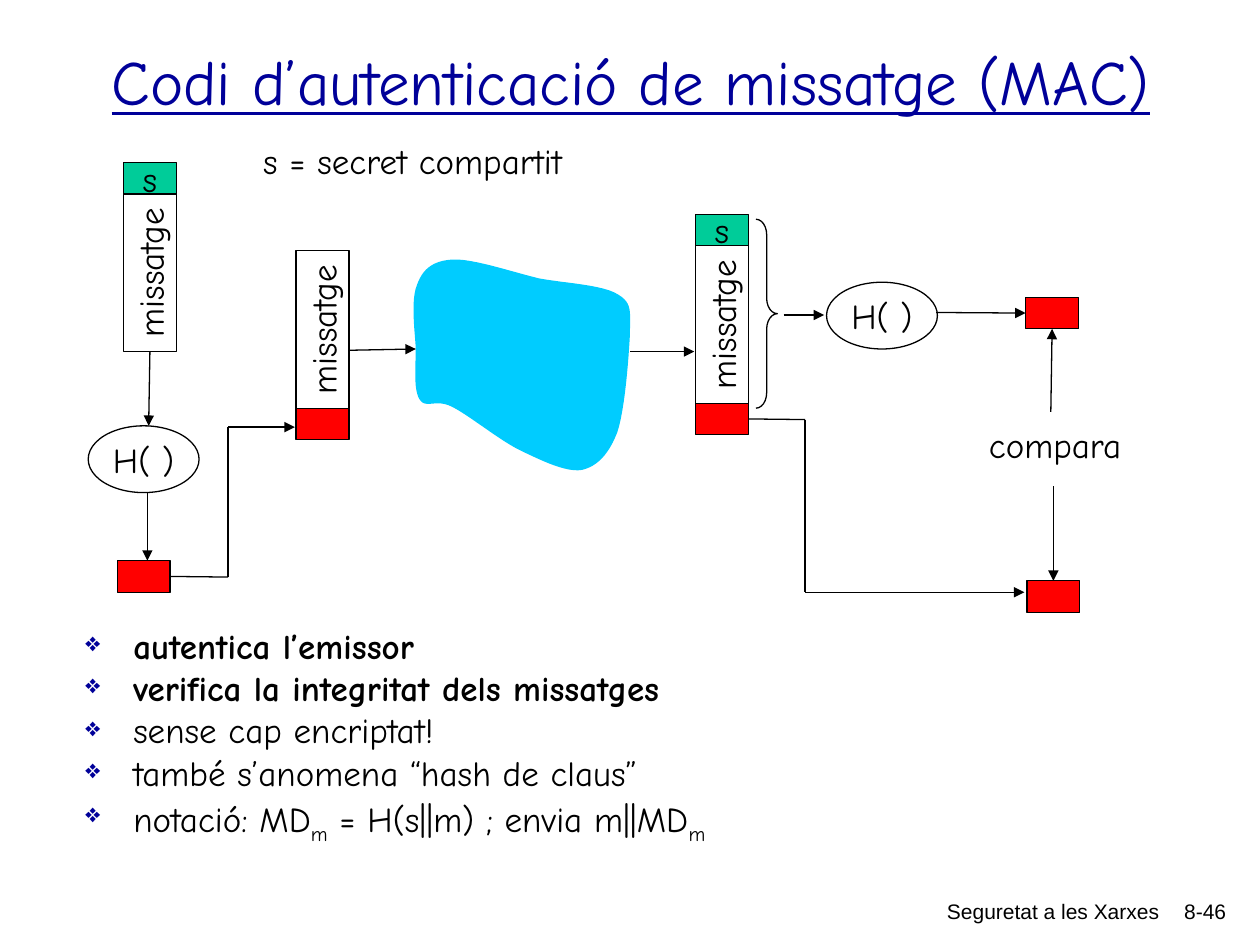
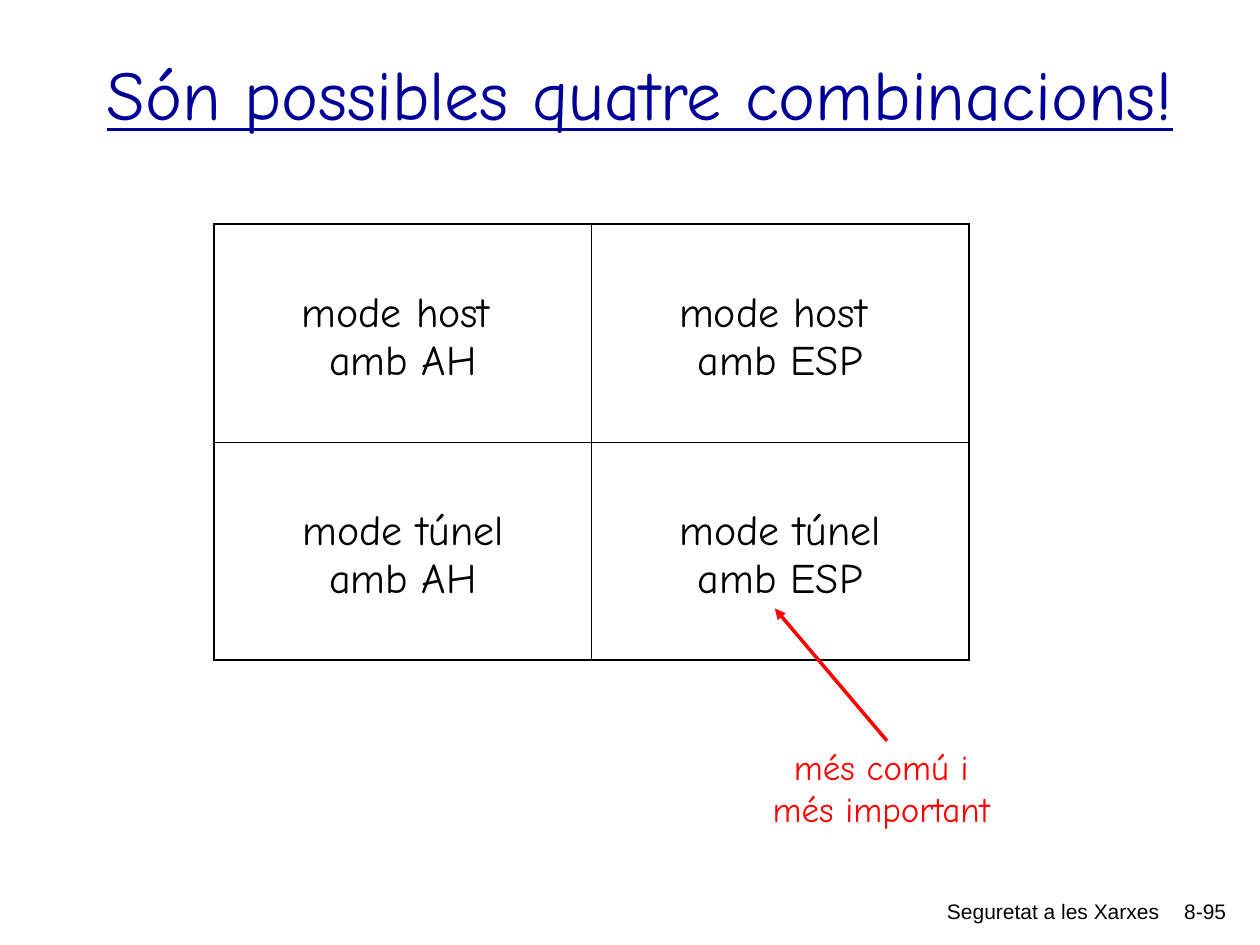
import itertools

import lxml.etree
import pptx
import pptx.dml.color
import pptx.enum.shapes
import pptx.enum.text
import pptx.oxml
import pptx.oxml.ns
import pptx.util

Inches, Pt = pptx.util.Inches, pptx.util.Pt
RGBColor = pptx.dml.color.RGBColor
Shapes = pptx.enum.shapes.MSO_SHAPE
Align = pptx.enum.text.PP_ALIGN
Anchor = pptx.enum.text.MSO_ANCHOR
qn = pptx.oxml.ns.qn

NAVY = RGBColor(0x00, 0x00, 0x99)
BLACK = RGBColor(0x00, 0x00, 0x00)
WHITE = RGBColor(0xFF, 0xFF, 0xFF)
RED = RGBColor(0xFF, 0x00, 0x00)
GREEN = RGBColor(0x00, 0xCC, 0x99)
CYAN = RGBColor(0x00, 0xCC, 0xFF)
BODY_FONT, FOOTER_FONT = "Comic Neue", "Arial"
FOOTER = "Seguretat a les Xarxes"

# Slide 1 content: places are in inches
MAC_TITLE = "Codi d’autenticació de missatge (MAC)"
BLOCK_WIDTH, BAND_HEIGHT, MESSAGE_HEIGHT = 0.42, 0.25, 1.25
HASH_SIZE = (0.88, 0.53)
SECRETS = [(0.98, 1.29), (5.52, 1.7)]
MESSAGES = {"source": (0.98, 1.54), "sent": (2.35, 1.99), "received": (5.52, 1.95)}
HASHES = [(0.7, 3.38), (6.56, 2.24)]
DIGESTS = {
    "computed": (0.93, 4.45),
    "sent": (2.35, 3.24),
    "received": (5.52, 3.2),
    "expected": (8.14, 2.36),
    "copied": (8.15, 4.61),
}
LABELS = [("s = secret compartit", (1.99, 1.06, 2.58, 0.44)),
          ("compara", (7.75, 3.31, 1.25, 0.44))]
# Corner points of each flow; only the last segment carries the arrowhead
FLOWS = {
    "source to hash": [(1.18, 2.79), (1.18, 3.38)],
    "hash to digest": [(1.17, 3.91), (1.17, 4.45)],
    "digest to sent": [(1.35, 4.58), (1.81, 4.58), (1.81, 3.39), (2.34, 3.39)],
    "sent to network": [(2.77, 2.78), (3.3, 2.77)],
    "network to received": [(5, 2.79), (5.51, 2.79)],
    "brace to hash": [(6.22, 2.5), (6.54, 2.5)],
    "hash to expected": [(7.43, 2.48), (8.14, 2.48)],
    "received to copied": [(5.94, 3.33), (6.39, 3.33), (6.39, 4.7), (8.13, 4.7)],
    "compare to expected": [(8.34, 3.27), (8.34, 2.61)],
    "compare to copied": [(8.36, 3.86), (8.36, 4.61)],
}
# Network cloud: start point, then (control, control, end) for each curve
CLOUD_START = (3.59, 2.06)
CLOUD_CURVES = [
    ((3.42, 2.07), (3.35, 2.15), (3.31, 2.26)),
    ((3.26, 2.38), (3.29, 2.61), (3.3, 2.76)),
    ((3.3, 2.91), (3.28, 3.09), (3.33, 3.17)),
    ((3.38, 3.25), (3.46, 3.16), (3.59, 3.23)),
    ((3.73, 3.3), (3.97, 3.5), (4.14, 3.58)),
    ((4.31, 3.66), (4.49, 3.75), (4.62, 3.73)),
    ((4.74, 3.7), (4.83, 3.61), (4.9, 3.43)),
    ((4.96, 3.25), (4.99, 2.84), (5, 2.65)),
    ((5, 2.47), (5.02, 2.41), (4.91, 2.34)),
    ((4.79, 2.26), (4.5, 2.25), (4.28, 2.21)),
    ((4.07, 2.16), (3.75, 2.05), (3.59, 2.06)),
]
CURVE_STEPS = 12
# Each bullet: bold, then runs as (text, is subscript)
BULLETS = [
    (True, [("autentica l’emissor", False)]),
    (True, [("verifica la integritat dels missatges", False)]),
    (False, [("sense cap encriptat!", False)]),
    (False, [("també s’anomena “hash de claus”", False)]),
    (False, [("notació: MD", False), ("m", True),
             (" = H(s||m) ; envia m||MD", False), ("m", True)]),
]

# Slide 2 content
MODES_TITLE = "Són possibles quatre combinacions!"
MODES = [["mode host \vamb AH", "mode host \vamb ESP"],
         ["mode túnel\vamb AH", "mode túnel\vamb ESP"]]
MODES_NOTE = "més comú i\vmés important"
OUTER_LINE, INNER_LINE = 1.08, 0.45


def style_font(font, size, color=BLACK, name=BODY_FONT):
    font.name, font.size, font.color.rgb = name, Pt(size), color


def add_text(slide, text, box, size, color=BLACK, name=BODY_FONT, align=Align.LEFT, wrap=False):
    textbox = slide.shapes.add_textbox(*map(Inches, box))
    frame = textbox.text_frame
    frame.word_wrap = wrap
    frame.text = text
    paragraph = frame.paragraphs[0]
    paragraph.alignment = align
    style_font(paragraph.font, size, color, name)
    return textbox


def add_block(slide, kind, box, fill=None, text=""):
    shape = slide.shapes.add_shape(kind, *map(Inches, box))
    shape.shadow.inherit = False
    shape.line.color.rgb, shape.line.width = BLACK, Pt(0.75)
    if fill is None:
        shape.fill.background()
    else:
        shape.fill.solid()
        shape.fill.fore_color.rgb = fill
    if text:
        frame = shape.text_frame
        frame.text = text
        frame.word_wrap = False
        frame.vertical_anchor = Anchor.MIDDLE
        frame.paragraphs[0].alignment = Align.CENTER
        style_font(frame.paragraphs[0].font, 20)
    return shape


def add_line(slide, start, end, color=BLACK, width=0.75, arrow=True):
    connector = slide.shapes.add_connector(
        pptx.enum.shapes.MSO_CONNECTOR.STRAIGHT, *map(Inches, start + end))
    connector.line.color.rgb, connector.line.width = color, Pt(width)
    if arrow:
        line = connector.line._get_or_add_ln()
        lxml.etree.SubElement(line, qn("a:tailEnd"), type="triangle")
    lxml.etree.SubElement(connector._element.spPr, qn("a:effectLst"))
    return connector


def add_base_slide(presentation, title, title_box, title_size, number):
    slide = presentation.slides.add_slide(presentation.slide_layouts[6])
    heading = add_text(slide, title, title_box, title_size, NAVY, align=Align.CENTER, wrap=True)
    heading.text_frame.vertical_anchor = Anchor.MIDDLE
    heading.text_frame.paragraphs[0].font.underline = True
    for text, box in [(number, (9.09, 7.08, 0.74, 0.33)), (FOOTER, (5.08, 7.08, 4.22, 0.34))]:
        add_text(slide, text, box, 12, name=FOOTER_FONT, align=Align.RIGHT, wrap=True)
    return slide


def add_cloud(slide):
    points, start = [], CLOUD_START
    for curve in CLOUD_CURVES:
        for step in range(1, CURVE_STEPS + 1):
            t = step / CURVE_STEPS
            weights = ((1 - t) ** 3, 3 * t * (1 - t) ** 2, 3 * t * t * (1 - t), t ** 3)
            corners = (start,) + curve
            points.append(tuple(Inches(sum(w * corner[axis] for w, corner in zip(weights, corners)))
                                for axis in (0, 1)))
        start = curve[-1]
    builder = slide.shapes.build_freeform(*map(Inches, CLOUD_START))
    builder.add_line_segments(points, close=True)
    cloud = builder.convert_to_shape()
    cloud.shadow.inherit = False
    cloud.fill.solid()
    cloud.fill.fore_color.rgb = CYAN
    cloud.line.fill.background()


def add_bullets(slide):
    frame = slide.shapes.add_textbox(*map(Inches, (0.58, 4.97, 8.5, 1.87))).text_frame
    frame.word_wrap = True
    for index, (bold, runs) in enumerate(BULLETS):
        paragraph = frame.add_paragraph() if index else frame.paragraphs[0]
        properties = paragraph._p.get_or_add_pPr()
        properties.set("marL", str(Inches(0.38)))
        properties.set("indent", str(-Inches(0.38)))
        color = lxml.etree.SubElement(properties, qn("a:buClr"))
        lxml.etree.SubElement(color, qn("a:srgbClr"), val=str(NAVY))
        lxml.etree.SubElement(properties, qn("a:buSzPct"), val="75000")
        lxml.etree.SubElement(properties, qn("a:buChar"), char="❖")
        paragraph.line_spacing = 0.8
        if index:
            paragraph.space_before = Pt(5)
        style_font(paragraph.font, 20)
        paragraph.font.bold = bold
        for text, subscript in runs:
            run = paragraph.add_run()
            run.text = text
            if subscript:
                run._r.get_or_add_rPr().set("baseline", "-25000")


def build_mac_slide(presentation):
    slide = add_base_slide(presentation, MAC_TITLE, (0.31, 0.18, 9.39, 0.92), 36, "8-46")

    # Messages, secrets, hashes and digests
    messages, digests = {}, {}
    for key, place in MESSAGES.items():
        message = add_block(slide, Shapes.RECTANGLE, place + (BLOCK_WIDTH, MESSAGE_HEIGHT),
                            text="missatge")
        message.text_frame._txBody.bodyPr.set("vert", "vert270")
        messages[key] = message
    for place in SECRETS:
        add_block(slide, Shapes.RECTANGLE, place + (BLOCK_WIDTH, BAND_HEIGHT), GREEN, "s")
    for place in HASHES:
        add_block(slide, Shapes.OVAL, place + HASH_SIZE, text="H( )")
    for key, place in DIGESTS.items():
        digests[key] = add_block(slide, Shapes.RECTANGLE, place + (BLOCK_WIDTH, BAND_HEIGHT), RED)
    add_cloud(slide)
    brace = add_block(slide, Shapes.RIGHT_BRACE, (6, 1.74, 0.17, 1.5))
    brace.adjustments[0] = 0.72

    # Flows, joined to the blocks they meet mid-side
    flows = {}
    for key, points in FLOWS.items():
        flows[key] = [add_line(slide, start, end, arrow=end == points[-1])
                      for start, end in itertools.pairwise(points)]
    flows["source to hash"][0].begin_connect(messages["source"], 2)
    flows["digest to sent"][0].begin_connect(digests["computed"], 3)
    flows["received to copied"][0].begin_connect(digests["received"], 3)
    flows["hash to expected"][-1].end_connect(digests["expected"], 1)
    flows["compare to expected"][-1].end_connect(digests["expected"], 2)
    flows["compare to copied"][-1].end_connect(digests["copied"], 0)

    for text, box in LABELS:
        add_text(slide, text, box, 20)
    add_bullets(slide)


def set_borders(cell, widths):
    properties = cell._tc.get_or_add_tcPr()
    for side, width in widths.items():
        line = lxml.etree.SubElement(properties, qn("a:ln" + side), w=str(Pt(width)))
        fill = lxml.etree.SubElement(line, qn("a:solidFill"))
        lxml.etree.SubElement(fill, qn("a:srgbClr"), val=str(BLACK))


def build_modes_slide(presentation):
    slide = add_base_slide(presentation, MODES_TITLE, (0.4, 0.25, 9.36, 0.97), 40, "8-95")

    # Grid of modes and protocols
    table = slide.shapes.add_table(2, 2, *map(Inches, (1.7, 1.78, 5.99, 3.46))).table
    table.first_row = table.horz_banding = False
    for row, texts in enumerate(MODES):
        for column, text in enumerate(texts):
            cell = table.cell(row, column)
            set_borders(cell, {
                "L": INNER_LINE if column else OUTER_LINE,
                "R": OUTER_LINE if column else INNER_LINE,
                "T": INNER_LINE if row else OUTER_LINE,
                "B": OUTER_LINE if row else INNER_LINE,
            })
            cell.fill.solid()
            cell.fill.fore_color.rgb = WHITE
            cell.margin_top = Inches(0.52)
            cell.text = text
            paragraph = cell.text_frame.paragraphs[0]
            paragraph.alignment = Align.CENTER
            style_font(paragraph.font, 24)

    # Note on the most common mode
    add_line(slide, (7.04, 5.88), (6.15, 4.83), RED, 2)
    add_text(slide, MODES_NOTE, (6.03, 5.87, 1.93, 0.77), 20, RED, align=Align.CENTER)


def main():
    presentation = pptx.Presentation()
    presentation.slide_width, presentation.slide_height = Inches(10), Inches(7.5)
    build_mac_slide(presentation)
    build_modes_slide(presentation)
    presentation.save("out.pptx")


if __name__ == "__main__":
    main()
